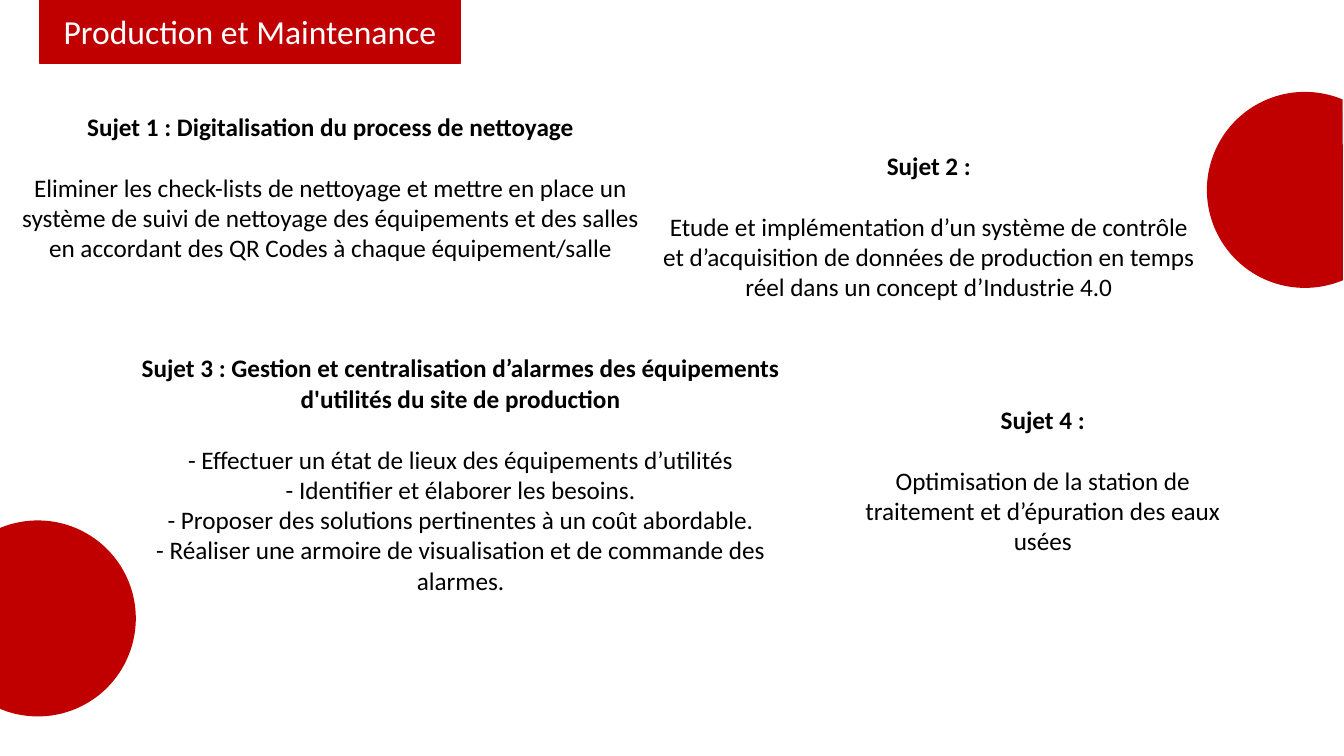
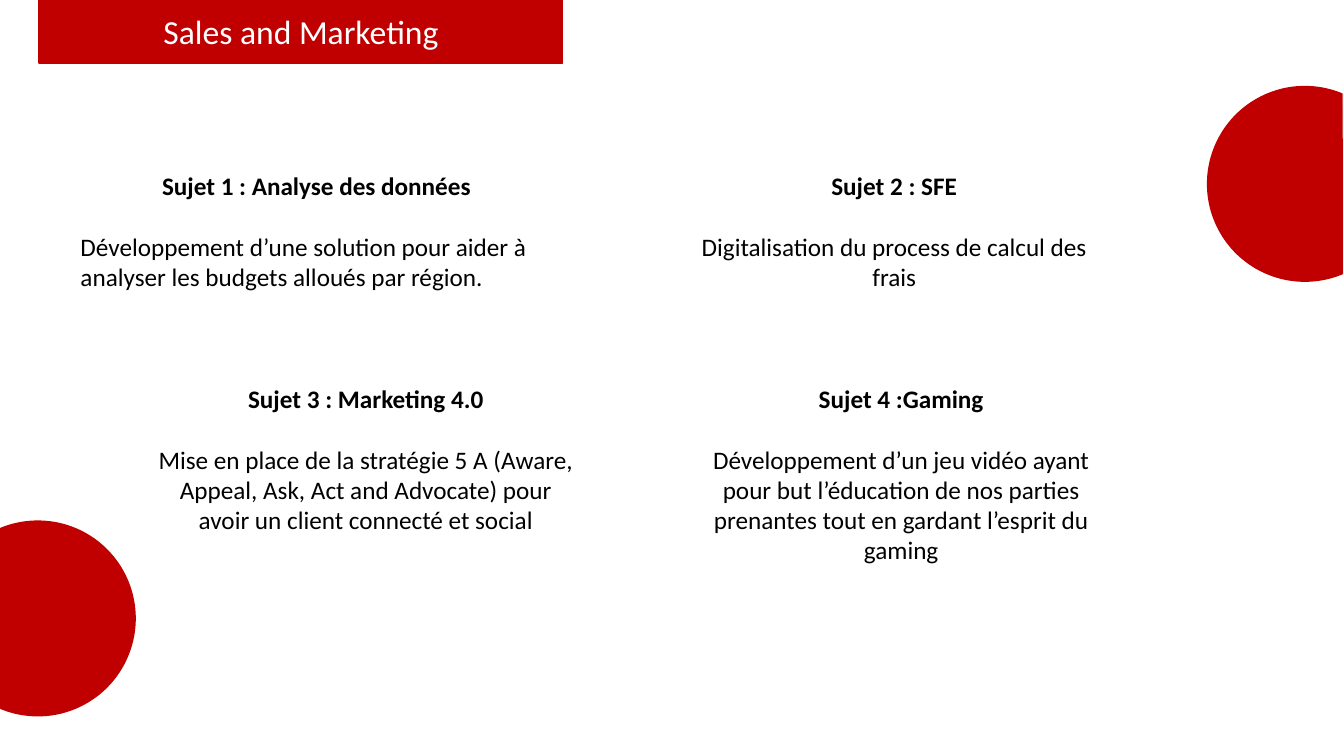
from pptx import Presentation
from pptx.dml.color import RGBColor
from pptx.enum.shapes import MSO_SHAPE as Shape
from pptx.enum.text import MSO_ANCHOR as Anchor, PP_ALIGN as Align
from pptx.util import Pt

COLORS = {"red": "C00000", "white": "FFFFFF", "black": "000000"}
FONT = "Calibri"
SIZE, LINE = 18, 22  # body text and the gap of one line under a heading
DISC = 139

# Each topic: box (left, top, width, height), heading, body lines, body alignment
SLIDES = [
    {
        "title": "Production et Maintenance", "band": 301, "disc": 66.2,
        "topics": [
            ((8.6, 75.6, 455, 181), "Sujet 1 : Digitalisation du process de nettoyage",
             ["Eliminer les check-lists de nettoyage et mettre en place un système de suivi "
              "de nettoyage des équipements et des salles en accordant des QR Codes à chaque "
              "équipement/salle"], Align.CENTER),
            ((463.7, 103.7, 399.6, 138), "Sujet 2 :",
             ["Etude et implémentation d’un système de contrôle et d’acquisition de données "
              "de production en temps réel dans un concept d’Industrie 4.0"], Align.CENTER),
            ((90, 248.4, 478, 247), "Sujet 3 : Gestion et centralisation d’alarmes des "
             "équipements d'utilités du site de production",
             ["- Effectuer un état de lieux des équipements d’utilités",
              "- Identifier et élaborer les besoins.",
              "- Proposer des solutions pertinentes à un coût abordable.",
              "- Réaliser une armoire de visualisation et de commande des alarmes."],
             Align.CENTER),
            ((597.6, 285.1, 294.5, 138), "Sujet 4 :",
             ["Optimisation de la station de traitement et d’épuration des eaux usées"],
             Align.CENTER),
        ],
    },
    {
        "title": "Sales and Marketing", "band": 374, "disc": 61.9,
        "topics": [
            ((50.4, 118, 351.4, 117), "Sujet 1 : Analyse des données",
             ["Développement d’une solution pour aider à analyser les budgets alloués "
              "par région."], Align.LEFT),
            ((488.2, 118, 301, 94), "Sujet 2 : SFE",
             ["Digitalisation du process de calcul des frais"], Align.CENTER),
            ((105.8, 270, 311, 117), "Sujet 3 : Marketing 4.0",
             ["Mise en place de la stratégie 5 A (Aware, Appeal, Ask, Act and Advocate) "
              "pour avoir un client connecté et social"], Align.CENTER),
            ((488.2, 270, 311, 138), "Sujet 4 :Gaming",
             ["Développement d’un jeu vidéo ayant pour but l’éducation de nos parties "
              "prenantes tout en gardant l’esprit du gaming"], Align.CENTER),
        ],
    },
]


def color(name):
    return RGBColor.from_string(COLORS[name])


def style(para, text, size, ink, align=Align.CENTER, bold=False):
    para.text = text
    para.alignment = align
    font = para.font
    font.name, font.size, font.bold = FONT, Pt(size), bold
    font.color.rgb = color(ink)


def add_red(slide, kind, box, turn=0):
    shape = slide.shapes.add_shape(kind, *map(Pt, box))
    shape.shadow.inherit = False
    shape.fill.solid()
    shape.fill.fore_color.rgb = color("red")
    shape.line.color.rgb = color("red")
    shape.line.width = Pt(1)
    shape.rotation = turn
    return shape


def add_frame(slide, title, band, top):
    # Title band and the two cut discs at the slide edges
    frame = add_red(slide, Shape.RECTANGLE, (28, 0, band, 45)).text_frame
    frame.word_wrap = True
    frame.vertical_anchor = Anchor.MIDDLE
    style(frame.paragraphs[0], title, 24, "white")
    add_red(slide, Shape.CHORD, (862.6, top, DISC, DISC), 22.4)
    add_red(slide, Shape.CHORD, (-42.5, 372.2, DISC, DISC), 202.4)


def add_topic(slide, box, head, lines, align):
    frame = slide.shapes.add_textbox(*map(Pt, box)).text_frame
    frame.word_wrap = True
    style(frame.paragraphs[0], head, SIZE, "black", bold=True)
    frame.paragraphs[0].space_after = Pt(LINE)
    for line in lines:
        style(frame.add_paragraph(), line, SIZE, "black", align)


def main():
    deck = Presentation()
    deck.slide_width, deck.slide_height = Pt(960), Pt(540)
    for page in SLIDES:
        slide = deck.slides.add_slide(deck.slide_layouts[6])
        add_frame(slide, page["title"], page["band"], page["disc"])
        for topic in page["topics"]:
            add_topic(slide, *topic)
    deck.save("out.pptx")


if __name__ == "__main__":
    main()
